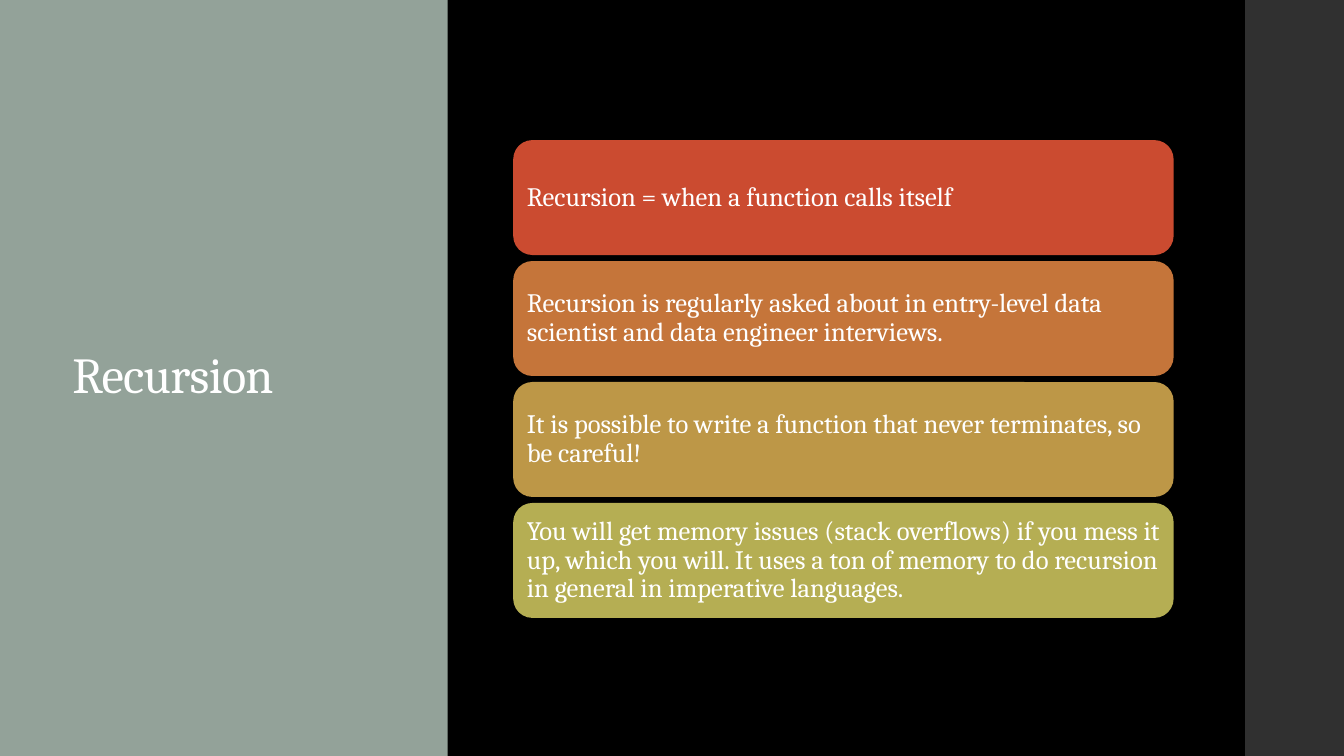
from pptx import Presentation
from pptx.dml.color import RGBColor
from pptx.enum.shapes import MSO_SHAPE
from pptx.enum.text import MSO_ANCHOR, PP_ALIGN
from pptx.util import Inches, Pt

RECTANGLE = MSO_SHAPE.RECTANGLE
ROUNDED = MSO_SHAPE.ROUNDED_RECTANGLE
MIDDLE = MSO_ANCHOR.MIDDLE
LEFT = PP_ALIGN.LEFT

SLIDE_WIDTH, SLIDE_HEIGHT = 13.33, 7.5
POINTS = [
    ("CB4B30", "Recursion = when a function calls itself"),
    ("C5753A", "Recursion is regularly asked about in entry-level data scientist "
               "and data engineer interviews."),
    ("BD9747", "It is possible to write a function that never terminates, so be careful!"),
    ("B5AE53", "You will get memory issues (stack overflows) if you mess it up, which "
               "you will. It uses a ton of memory to do recursion in general in "
               "imperative languages."),
]


def color(value):
    return RGBColor.from_string(value)


def add_panel(slide, kind, box, fill):
    shape = slide.shapes.add_shape(kind, *map(Inches, box))
    shape.shadow.inherit = False
    shape.fill.solid()
    shape.fill.fore_color.rgb = color(fill)
    shape.line.fill.background()
    return shape


def write_text(shape, text, size, margins=(0.1, 0.05), spacing=0):
    frame = shape.text_frame
    frame.word_wrap = True
    frame.vertical_anchor = MIDDLE
    frame.margin_left = frame.margin_right = Inches(margins[0])
    frame.margin_top = frame.margin_bottom = Inches(margins[1])
    paragraph = frame.paragraphs[0]
    paragraph.alignment = LEFT
    paragraph.line_spacing = 0.9
    run = paragraph.add_run()
    run.text = text
    run.font.name = "Cambria"
    run.font.size = Pt(size)
    run.font.color.rgb = color("FFFFFF")
    if spacing:
        run._r.get_or_add_rPr().set("spc", str(round(spacing * 100)))


def add_title_panel(slide, box, title):
    left, top, width, height = box
    add_panel(slide, RECTANGLE, box, "93A299")
    title_box = slide.shapes.add_textbox(
        Inches(left + 0.62), Inches(top + 0.91), Inches(width - 1.47), Inches(height - 1.83))
    write_text(title_box, title, 36, spacing=-0.5)


def add_point_list(slide, box, points, gap):
    left, top, width, height = box
    bar_height = (height - gap * (len(points) - 1)) / len(points)
    for index, (fill, text) in enumerate(points):
        bar_top = top + index * (bar_height + gap)
        bar = add_panel(slide, ROUNDED, (left, bar_top, width, bar_height), fill)
        write_text(bar, text, 19, margins=(0.08, 0.08))


def main():
    presentation = Presentation()
    presentation.slide_width = Inches(SLIDE_WIDTH)
    presentation.slide_height = Inches(SLIDE_HEIGHT)
    slide = presentation.slides.add_slide(presentation.slide_layouts[6])
    slide.background.fill.solid()
    slide.background.fill.fore_color.rgb = color("000000")
    add_title_panel(slide, (0, 0, 4.44, SLIDE_HEIGHT), "Recursion")
    add_panel(slide, RECTANGLE, (12.35, 0, SLIDE_WIDTH - 12.35, SLIDE_HEIGHT), "303030")
    add_point_list(slide, (5.09, 1.39, 6.55, 4.74), POINTS, gap=0.06)
    presentation.save("out.pptx")


if __name__ == "__main__":
    main()
